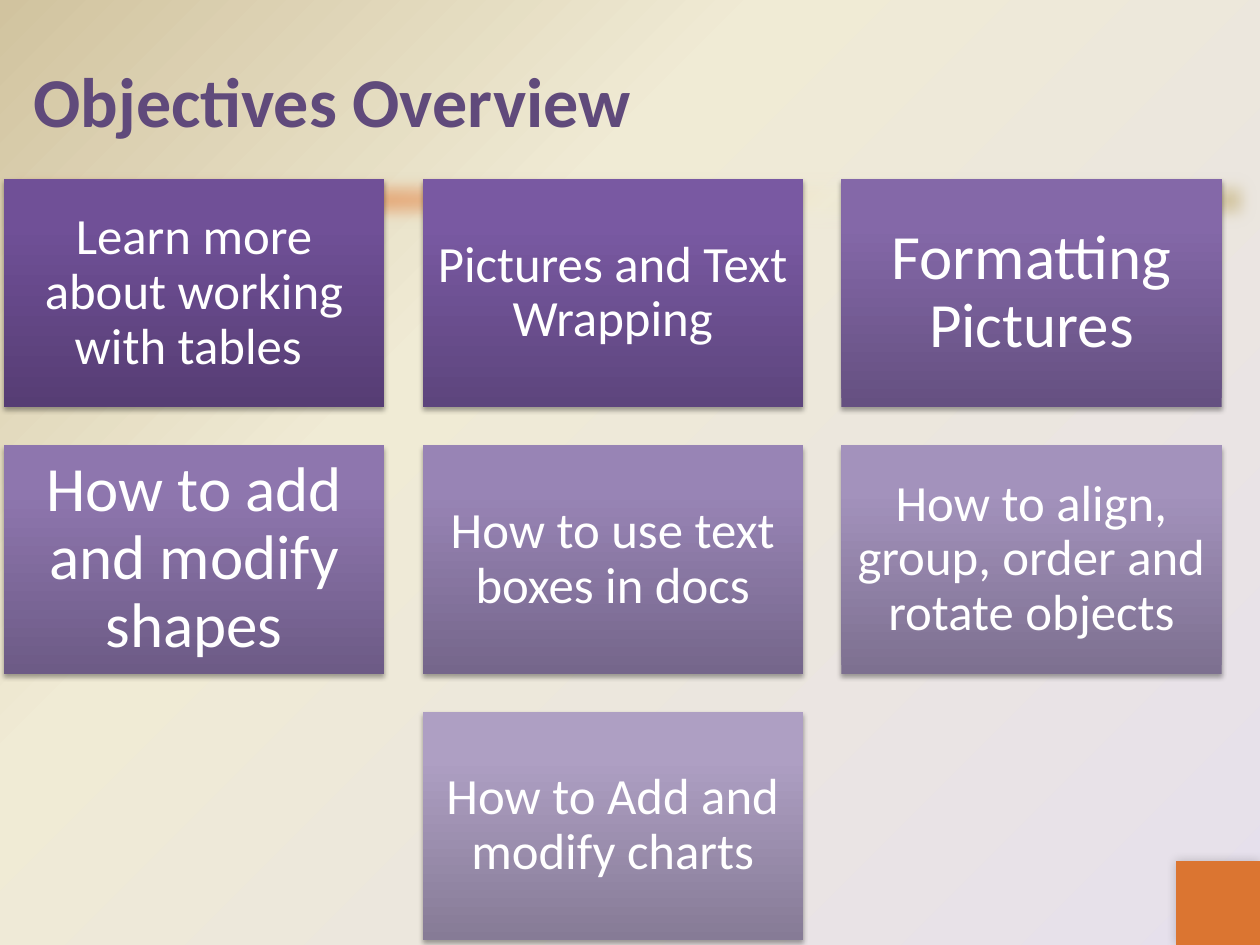
"""Build the objectives overview slide with its grid of topic tiles."""
from lxml import etree
from pptx import Presentation
from pptx import util as u
from pptx.dml.color import RGBColor
from pptx.enum import shapes, text
from pptx.oxml.ns import qn

TITLE = "Objectives Overview"
TILES = [
    ("Learn more about working with tables ", 29, ("563D74", "705097", "704F99")),
    ("Pictures and Text Wrapping", 29, ("5D457D", "7959A2", "7A58A4")),
    ("Formatting Pictures", 36, ("655081", "8468A8", "8467AA")),
    ("How to add and modify shapes", 36, ("6D5B86", "8E76AE", "8E75B0")),
    ("How to use text boxes in docs", 29, ("75668B", "9884B5", "9984B7")),
    ("How to align, group, order and rotate objects", 29, ("7D7090", "A392BC", "A492BD")),
    ("How to Add and modify charts", 29, ("867B96", "AE9FC3", "AE9FC4")),
]
THEME = {
    "font": "Calibri", "title_size": 40, "title": "604A7B", "text": "FFFFFF",
    "accent": "DB7531", "shadow": "000000",
    "backdrop": ("E6E0EC", "F0EBD5", "D1C39F"),
    "bar": ("DB7531", "F0EBD5", "D1C39F"),
}
SLIDE_W, SLIDE_H = 25.4, 19.05
COLS, LEFT, TOP = 3, 0.08, 3.61
TILE_W, TILE_H, GAP = 7.67, 4.6, 0.77
CORNER = 1.69


def sub(parent, tag, **attrs):
    return etree.SubElement(parent, qn(tag), {k: str(v) for k, v in attrs.items()})


def set_gradient(fill, element, colors, middle, angle=None):
    fill.gradient()
    grad = next(element.iter(qn("a:gradFill")))
    for child in list(grad):
        grad.remove(child)
    stops = sub(grad, "a:gsLst")
    for pos, color in zip((0, middle, 100), colors):
        sub(sub(stops, "a:gs", pos=pos * 1000), "a:srgbClr", val=color)
    if angle is None:
        sub(sub(grad, "a:path", path="circle"), "a:fillToRect", l=100000, t=100000)
    else:
        sub(grad, "a:lin", ang=angle * 60000, scaled=0)


def add_rect(s, left, top, width, height):
    sp = s.shapes.add_shape(shapes.MSO_SHAPE.RECTANGLE, *map(u.Cm, (left, top, width, height)))
    sp.line.fill.background()
    sp.shadow.inherit = False
    return sp


def add_effect(sp, tag, **attrs):
    return sub(sp._element.spPr.find(qn("a:effectLst")), tag, **attrs)


def add_shadow(sp, alpha, blur, dist, angle):
    shadow = add_effect(sp, "a:outerShdw", blurRad=u.Pt(blur), dist=u.Pt(dist),
                        dir=angle * 60000, rotWithShape=0)
    color = sub(shadow, "a:srgbClr", val=THEME["shadow"])
    sub(color, "a:alpha", val=alpha * 1000)


def set_text(tf, content, size, color, align, bold=False):
    tf.text = content
    tf.word_wrap = True
    tf.vertical_anchor = text.MSO_ANCHOR.MIDDLE
    p = tf.paragraphs[0]
    p.alignment = align
    r = p.runs[0]
    r.font.name, r.font.size, r.font.bold = THEME["font"], u.Pt(size), bold
    r.font.color.rgb = RGBColor.from_string(color)
    return p


def add_tile(s, index, content, size, colors):
    row, col = divmod(index, COLS)
    in_row = min(COLS, len(TILES) - row * COLS)
    col += (COLS - in_row) / 2
    sp = add_rect(s, LEFT + col * (TILE_W + GAP), TOP + row * (TILE_H + GAP), TILE_W, TILE_H)
    set_gradient(sp.fill, sp._element.spPr, colors, 80, 270)
    add_shadow(sp, 35, 3.1, 1.8, 90)
    tf = sp.text_frame
    inset = u.Pt(size * 0.3)
    tf.margin_left = tf.margin_right = tf.margin_top = tf.margin_bottom = inset
    p = set_text(tf, content, size, THEME["text"], text.PP_ALIGN.CENTER)
    p.line_spacing = 0.9


def main():
    prs = Presentation()
    prs.slide_width, prs.slide_height = u.Cm(SLIDE_W), u.Cm(SLIDE_H)
    s = prs.slides.add_slide(prs.slide_layouts[5])
    set_gradient(s.background.fill, s.element, THEME["backdrop"], 65)

    bar = add_rect(s, 0, 3.39, SLIDE_W, 1.27)
    set_gradient(bar.fill, bar._element.spPr, THEME["bar"], 65, 45)
    add_effect(bar, "a:softEdge", rad=u.Pt(10))

    corner = add_rect(s, SLIDE_W - CORNER, SLIDE_H - CORNER, CORNER, CORNER)
    corner.fill.solid()
    corner.fill.fore_color.rgb = RGBColor.from_string(THEME["accent"])
    add_shadow(corner, 20, 6, 0, 225)

    title = s.shapes.title
    title.left, title.top, title.width, title.height = map(u.Cm, (0.42, 0.42, 24.56, 3.18))
    set_text(title.text_frame, TITLE, THEME["title_size"], THEME["title"],
             text.PP_ALIGN.LEFT, bold=True)

    for index, tile in enumerate(TILES):
        add_tile(s, index, *tile)
    prs.save("out.pptx")


if __name__ == "__main__":
    main()
